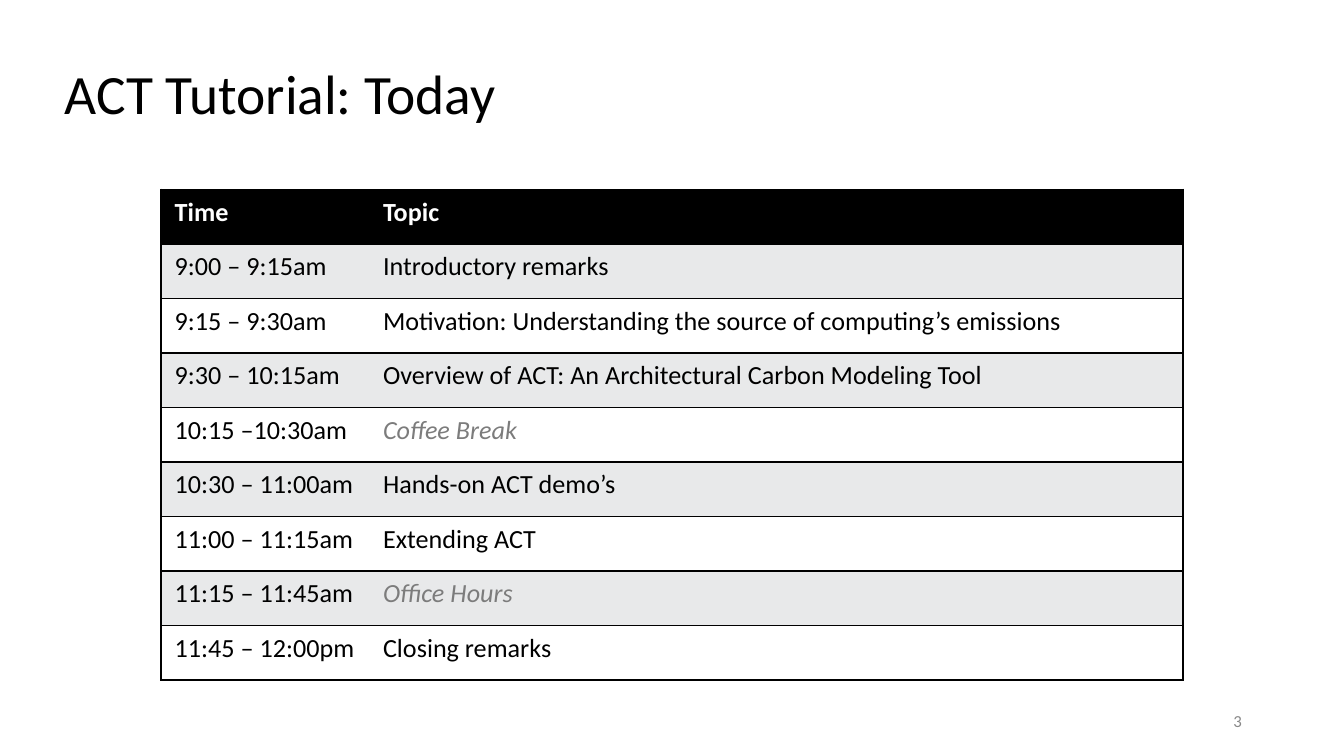
from dataclasses import dataclass

from lxml import etree
from pptx import Presentation
from pptx import util as u
from pptx.dml.color import RGBColor
from pptx.enum import text
from pptx.oxml import ns


@dataclass(frozen=True)
class Theme:
    """Colours, type sizes and font of the slide."""
    font: str = "Calibri"
    black: str = "000000"
    white: str = "FFFFFF"
    band: str = "E8E9EA"
    muted: str = "7C7C7C"
    number: str = "888888"
    title_size: float = 29.7
    table_size: float = 14
    number_size: float = 9
    border_width: float = 1


THEME = Theme()
SLIDE_WIDTH = 10
SLIDE_HEIGHT = SLIDE_WIDTH * 9 / 16
AGENDA = [
    ("9:00 – 9:15am", "Introductory remarks"),
    ("9:15 – 9:30am", "Motivation: Understanding the source of computing’s emissions"),
    ("9:30 – 10:15am", "Overview of ACT: An Architectural Carbon Modeling Tool"),
    ("10:15 –10:30am", "Coffee Break"),
    ("10:30 – 11:00am", "Hands-on ACT demo’s"),
    ("11:00 – 11:15am", "Extending ACT"),
    ("11:15 – 11:45am", "Office Hours"),
    ("11:45 – 12:00pm", "Closing remarks"),
]
BREAKS = {"Coffee Break", "Office Hours"}


def write_text(frame, content, *, size, color, bold=False, italic=False,
               align=text.PP_ALIGN.LEFT, line_spacing=None):
    """Write one formatted paragraph into a text frame."""
    paragraph = frame.paragraphs[0]
    paragraph.alignment = align
    paragraph.line_spacing = line_spacing
    run = paragraph.add_run()
    run.text = content
    run.font.name = THEME.font
    run.font.size = u.Pt(size)
    run.font.bold = bold
    run.font.italic = italic
    run.font.color.rgb = RGBColor.from_string(color)


class AgendaSlide:
    """Holds the theme and the current slide and adds elements to it."""

    def __init__(self, presentation, theme):
        self.theme = theme
        self.slide = presentation.slides.add_slide(presentation.slide_layouts[5])

    def place_text(self, shape, box, content, **style):
        """Position a text shape, set its frame and write its text."""
        shape.left, shape.top, shape.width, shape.height = map(u.Inches, box)
        frame = shape.text_frame
        frame.word_wrap = True
        frame.auto_size = text.MSO_AUTO_SIZE.NONE
        frame.vertical_anchor = text.MSO_ANCHOR.MIDDLE
        frame.margin_left = frame.margin_right = u.Inches(0.07)
        frame.margin_top = frame.margin_bottom = u.Inches(0.04)
        write_text(frame, content, **style)

    def add_title(self, content, box):
        """Fill the title placeholder."""
        self.place_text(self.slide.shapes.title, box, content, line_spacing=0.9,
                        size=self.theme.title_size, color=self.theme.black)

    def add_number(self, content, box):
        """Add the slide number."""
        shape = self.slide.shapes.add_textbox(*map(u.Inches, box))
        self.place_text(shape, box, content, align=text.PP_ALIGN.RIGHT,
                        size=self.theme.number_size, color=self.theme.number)

    def set_borders(self, cell, visible):
        """Draw the visible sides of a cell and clear the others."""
        properties = cell._tc.get_or_add_tcPr()
        for index, side in enumerate("LRTB"):
            line = etree.Element(ns.qn(f"a:ln{side}"),
                                 w=str(u.Pt(self.theme.border_width)))
            if side in visible:
                fill = etree.SubElement(line, ns.qn("a:solidFill"))
                etree.SubElement(fill, ns.qn("a:srgbClr"), val=self.theme.black)
            else:
                etree.SubElement(line, ns.qn("a:noFill"))
            properties.insert(index, line)

    def add_table(self, rows, box, widths):
        """Add the banded agenda table with a header row."""
        theme = self.theme
        frame = self.slide.shapes.add_table(len(rows), len(widths), *map(u.Inches, box))
        table = frame.table
        for column, width in zip(table.columns, widths):
            column.width = u.Inches(width)
        for row_index, row in enumerate(rows):
            header = row_index == 0
            band = theme.band if row_index % 2 else theme.white
            for column_index, content in enumerate(row):
                cell = table.cell(row_index, column_index)
                cell.fill.solid()
                cell.fill.fore_color.rgb = RGBColor.from_string(
                    theme.black if header else band)
                self.set_borders(cell, "RTB" if column_index else "LTB")
                pause = content in BREAKS
                color = theme.muted if pause else theme.black
                write_text(cell.text_frame, content, size=theme.table_size,
                           color=theme.white if header else color,
                           bold=header, italic=pause)


def main():
    """Build and save the agenda slide."""
    presentation = Presentation()
    presentation.slide_width = u.Inches(SLIDE_WIDTH)
    presentation.slide_height = u.Inches(SLIDE_HEIGHT)
    agenda = AgendaSlide(presentation, THEME)
    agenda.add_title("ACT Tutorial: Today", (0.41, 0.5, 8.62, 0.44))
    agenda.add_number("3", (7.06, 5.21, 2.25, 0.3))
    agenda.add_table([("Time", "Topic"), *AGENDA], (1.2, 1.41, 7.6, 3.65), (1.55, 6.05))
    presentation.save("out.pptx")


if __name__ == "__main__":
    main()
